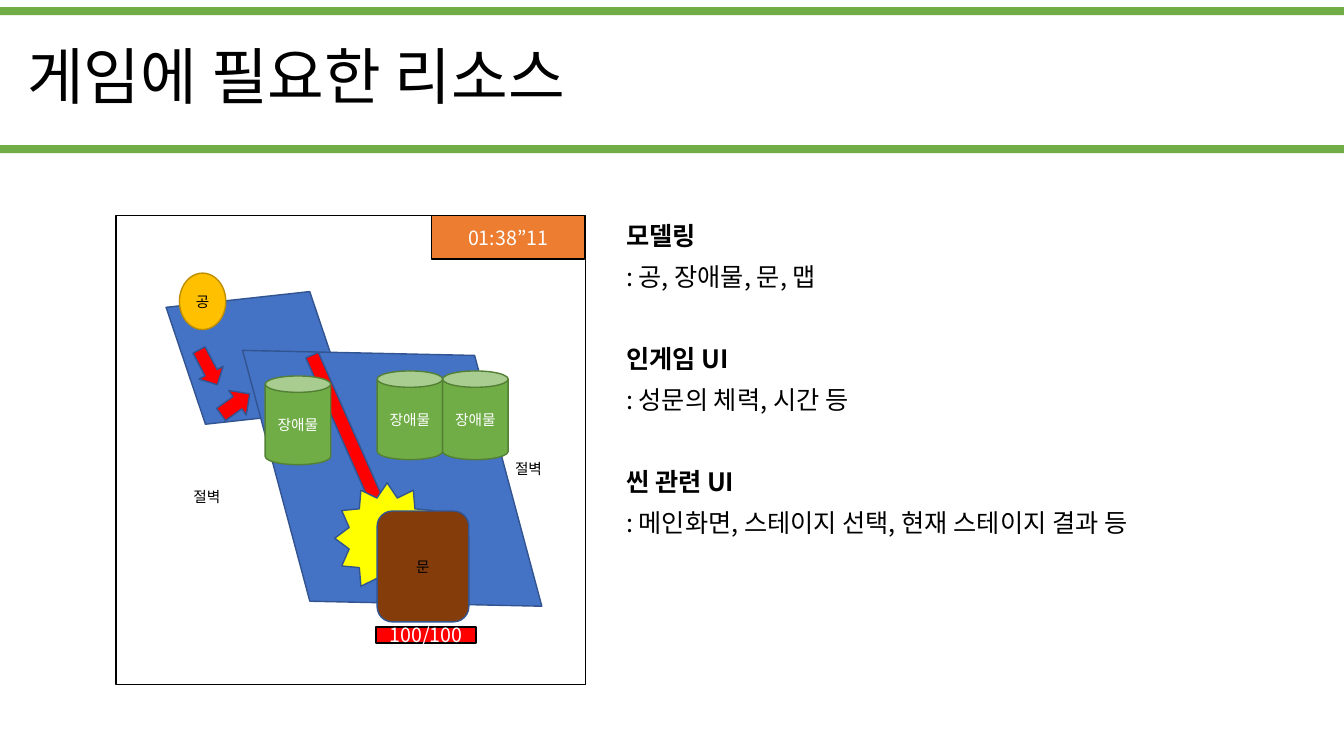
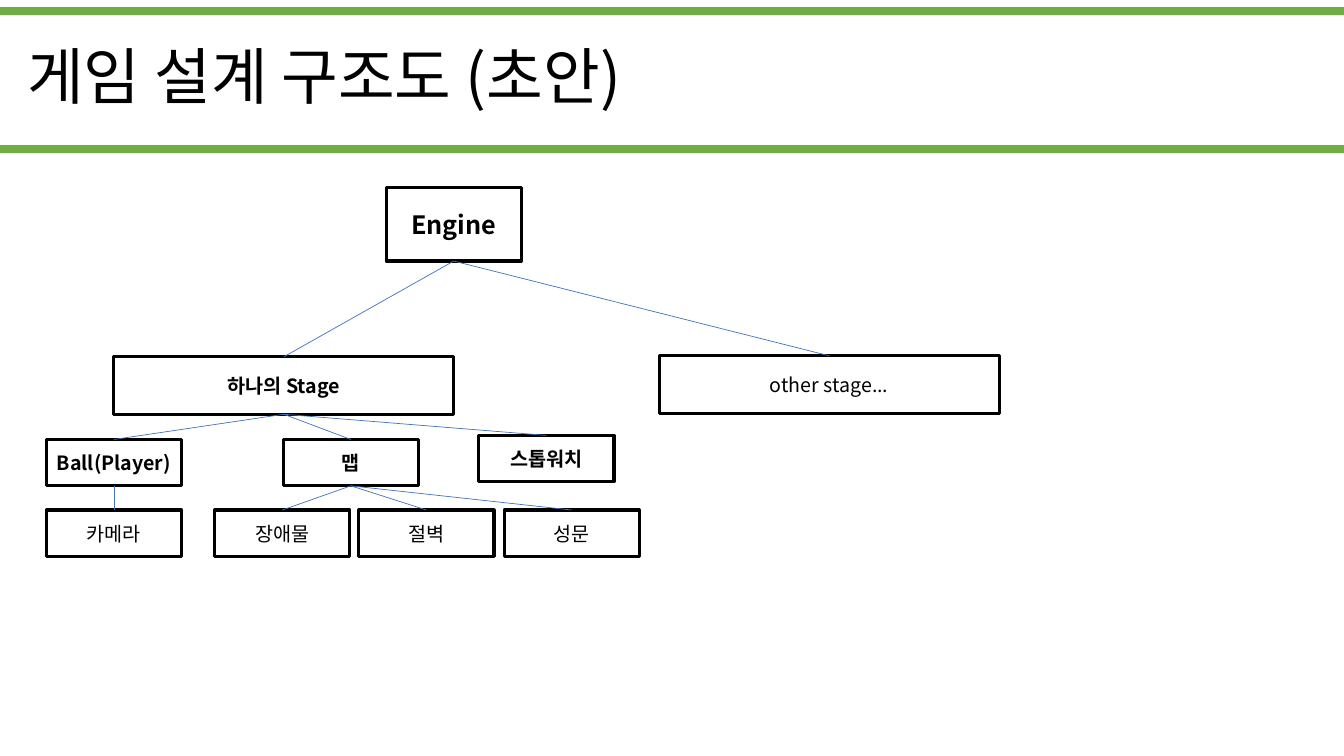
from dataclasses import dataclass
from typing import Optional

from lxml import etree
from pptx import Presentation
from pptx.dml.color import RGBColor
from pptx.enum.shapes import MSO_CONNECTOR, MSO_SHAPE
from pptx.enum.text import MSO_ANCHOR, MSO_AUTO_SIZE, PP_ALIGN
from pptx.oxml.ns import qn
from pptx.util import Pt

PX = 9144  # EMU in one px: 100 px to the inch
SLIDE_WIDTH, SLIDE_HEIGHT = 1333, 750
FONT = "Noto Sans CJK KR"

BLACK = RGBColor(0x00, 0x00, 0x00)
WHITE = RGBColor(0xFF, 0xFF, 0xFF)
GREEN = RGBColor(0x70, 0xAD, 0x47)
DARK_GREEN = RGBColor(0x53, 0x80, 0x35)
BLUE = RGBColor(0x44, 0x72, 0xC4)
DARK_BLUE = RGBColor(0x32, 0x54, 0x91)
GOLD = RGBColor(0xFF, 0xC0, 0x00)
DARK_GOLD = RGBColor(0xBD, 0x8E, 0x00)
RED = RGBColor(0xFF, 0x00, 0x00)
YELLOW = RGBColor(0xFF, 0xFF, 0x00)
BROWN = RGBColor(0x84, 0x3C, 0x0B)
ORANGE = RGBColor(0xED, 0x7D, 0x31)

RECTANGLE = MSO_SHAPE.RECTANGLE
ROUNDED = MSO_SHAPE.ROUNDED_RECTANGLE
PARALLELOGRAM = MSO_SHAPE.FLOWCHART_DATA
CIRCLE = MSO_SHAPE.FLOWCHART_CONNECTOR
PROCESS = MSO_SHAPE.FLOWCHART_PROCESS
ARROW = MSO_SHAPE.RIGHT_ARROW
STAR = MSO_SHAPE.STAR_12_POINT
CAN = MSO_SHAPE.CAN
STRAIGHT = MSO_CONNECTOR.STRAIGHT
MIDDLE = MSO_ANCHOR.MIDDLE
TOP = MSO_ANCHOR.TOP
LEFT = PP_ALIGN.LEFT
CENTER = PP_ALIGN.CENTER
NO_AUTOFIT = MSO_AUTO_SIZE.NONE
TOP_SITE, BOTTOM_SITE = 0, 2


@dataclass(frozen=True)
class Box:
    left: int
    top: int
    width: int
    height: int

    def emu(self) -> tuple[int, ...]:
        return tuple(n * PX for n in (self.left, self.top, self.width, self.height))


@dataclass(frozen=True)
class Figure:
    kind: MSO_SHAPE
    box: Box
    fill: RGBColor
    line: Optional[RGBColor] = DARK_BLUE
    line_width: float = 1
    rotation: float = 0
    text: str = ""
    size: float = 10.5
    color: RGBColor = BLACK
    bold: bool = False


@dataclass(frozen=True)
class Node:
    text: str
    box: Box
    parent: Optional[str] = None
    bold: bool = False
    size: int = 14


TITLE_BOX = Box(17, 6, 1297, 145)
BODY_BOX = Box(611, 216, 632, 462)
BANDS = [Figure(RECTANGLE, Box(0, top, SLIDE_WIDTH, 8), GREEN, None) for top in (7, 144)]

FRAME = Figure(RECTANGLE, Box(115, 214, 466, 465), WHITE, BLACK)
MAP_FIGURES = [
    Figure(PARALLELOGRAM, Box(179, 285, 153, 140), BLUE, rotation=251.4),
    Figure(CIRCLE, Box(178, 271, 46, 56), GOLD, DARK_GOLD, text="공"),
    Figure(PARALLELOGRAM, Box(228, 364, 322, 221), BLUE, rotation=255),
    Figure(ARROW, Box(187, 351, 39, 27), RED, rotation=62.2),
    Figure(ARROW, Box(216, 386, 35, 30), RED, rotation=324.3),
    Figure(ARROW, Box(258, 418, 173, 27), RED, rotation=66.1),
    Figure(STAR, Box(332, 479, 104, 110), YELLOW),
    *(Figure(CAN, Box(left, top, 65, 88), GREEN, DARK_GREEN, text="장애물", color=WHITE)
      for left, top in ((263, 373), (374, 368), (439, 368))),
    Figure(ROUNDED, Box(374, 507, 91, 110), BROWN, text="문"),
]
CLIFF_LABELS = [Box(182, 479, 99, 29), Box(501, 451, 99, 29)]
GAUGES = [
    Figure(RECTANGLE, Box(373, 622, 99, 16), RED, BLACK, text="100/100", size=14, color=WHITE),
    Figure(RECTANGLE, Box(428, 214, 152, 43), ORANGE, BLACK, text="01:38”11", size=14, color=WHITE),
]
RESOURCES = [
    ("모델링", ": 공, 장애물, 문, 맵"),
    ("인게임 UI", ": 성문의 체력, 시간 등"),
    ("씬 관련 UI", ": 메인화면, 스테이지 선택, 현재 스테이지 결과 등"),
]

ROOT, STAGE, BALL, MAP = "Engine", "하나의 Stage", "Ball(Player)", "맵"
NODES = [
    Node(ROOT, Box(383, 186, 134, 73), bold=True, size=18),
    Node(STAGE, Box(113, 354, 337, 57), ROOT, bold=True),
    Node("other stage...", Box(654, 353, 337, 57), ROOT),
    Node(BALL, Box(46, 436, 134, 46), STAGE, bold=True),
    Node(MAP, Box(281, 436, 134, 46), STAGE, bold=True),
    Node("스톱워치", Box(475, 432, 134, 46), STAGE, bold=True),
    Node("카메라", Box(46, 506, 134, 46), BALL),
    *(Node(text, Box(left, 506, 134, 46), MAP)
      for text, left in (("장애물", 213), ("절벽", 356), ("성문", 500))),
]


def write(paragraph, text: str, *, size: float, color: RGBColor = BLACK,
          bold: bool = False, align: PP_ALIGN = LEFT) -> None:
    paragraph.alignment = align
    run = paragraph.add_run()
    run.text = text
    run.font.size = Pt(size)
    run.font.bold = bold
    run.font.color.rgb = color
    run.font.name = FONT
    east_asian = etree.SubElement(run._r.get_or_add_rPr(), qn("a:ea"))
    east_asian.set("typeface", FONT)


def draw(slide, figure: Figure):
    shape = slide.shapes.add_shape(figure.kind, *figure.box.emu())
    shape.shadow.inherit = False
    shape.rotation = figure.rotation
    shape.fill.solid()
    shape.fill.fore_color.rgb = figure.fill
    if figure.line is None:
        shape.line.fill.background()
    else:
        shape.line.color.rgb = figure.line
        shape.line.width = Pt(figure.line_width)
    if figure.text:
        frame = shape.text_frame
        frame.vertical_anchor = MIDDLE
        frame.margin_left = frame.margin_right = 0
        write(frame.paragraphs[0], figure.text, size=figure.size, color=figure.color,
              bold=figure.bold, align=CENTER)
    return shape


def place(placeholder, box: Box, anchor: MSO_ANCHOR):
    """Move a placeholder and return its text frame."""
    placeholder.left, placeholder.top, placeholder.width, placeholder.height = box.emu()
    frame = placeholder.text_frame
    frame.word_wrap = True
    frame.auto_size = NO_AUTOFIT
    frame.vertical_anchor = anchor
    return frame


def add_slide(presentation, layout_name: str, title: str):
    slide = presentation.slides.add_slide(presentation.slide_layouts.get_by_name(layout_name))
    paragraph = place(slide.shapes.title, TITLE_BOX, MIDDLE).paragraphs[0]
    paragraph.line_spacing = 0.9
    write(paragraph, title, size=44)
    return slide


def move_bands_to_master(presentation, slide) -> None:
    """Draw the bands with the slide's methods, then hand them to the master."""
    tree = presentation.slide_master.shapes.element
    for index, band in enumerate(BANDS):
        element = draw(slide, band).element
        element.nvSpPr.cNvPr.set("id", str(101 + index))
        tree.insert(2 + index, element)


def add_resource_list(slide) -> None:
    frame = place(slide.placeholders[1], BODY_BOX, TOP)
    lines = [(text, index == 0) for group in RESOURCES for index, text in enumerate(group)]
    for index, (text, is_heading) in enumerate(lines):
        paragraph = frame.add_paragraph() if index else frame.paragraphs[0]
        paragraph.line_spacing = Pt(20)
        paragraph.space_before = Pt(0 if index == 0 else 38.6 if is_heading else 9.3)
        write(paragraph, text, size=18, bold=is_heading)
        properties = paragraph._p.get_or_add_pPr()
        properties.set("marL", "0")
        properties.set("indent", "0")
        etree.SubElement(properties, qn("a:buNone"))


def add_label(slide, box: Box, text: str) -> None:
    frame = slide.shapes.add_textbox(*box.emu()).text_frame
    frame.word_wrap = True
    write(frame.paragraphs[0], text, size=10.5)


def connect(slide, parent, child) -> None:
    connector = slide.shapes.add_connector(STRAIGHT, 0, 0, 0, 0)
    connector.begin_connect(parent, BOTTOM_SITE)
    connector.end_connect(child, TOP_SITE)
    connector.line.color.rgb = BLUE
    connector.line.width = Pt(0.5)
    etree.SubElement(connector.element.spPr, qn("a:effectLst"))


def build_resource_slide(presentation) -> None:
    slide = add_slide(presentation, "Title and Content", "게임에 필요한 리소스")
    move_bands_to_master(presentation, slide)
    add_resource_list(slide)
    for figure in [FRAME, *MAP_FIGURES]:
        draw(slide, figure)
    for box in CLIFF_LABELS:
        add_label(slide, box, "절벽")
    for gauge in GAUGES:
        draw(slide, gauge)


def build_structure_slide(presentation) -> None:
    slide = add_slide(presentation, "Title Only", "게임 설계 구조도 (초안)")
    shapes = {
        node.text: draw(slide, Figure(PROCESS, node.box, WHITE, BLACK, 2.25,
                                      text=node.text, size=node.size, bold=node.bold))
        for node in NODES
    }
    for node in NODES:
        if node.parent:
            connect(slide, shapes[node.parent], shapes[node.text])


def main() -> None:
    presentation = Presentation()
    presentation.slide_width = SLIDE_WIDTH * PX
    presentation.slide_height = SLIDE_HEIGHT * PX
    build_resource_slide(presentation)
    build_structure_slide(presentation)
    presentation.save("out.pptx")


if __name__ == "__main__":
    main()
